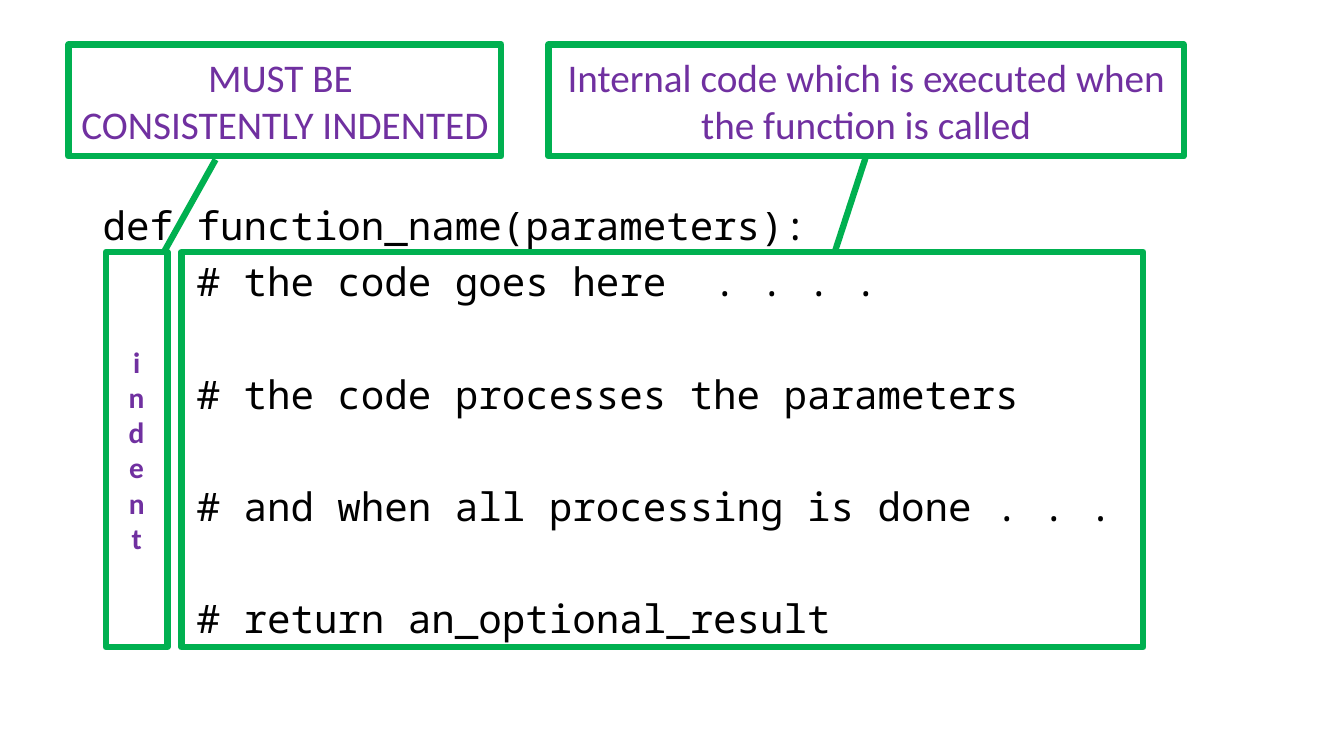
from pptx import Presentation
from pptx.dml.color import RGBColor
from pptx.enum.shapes import MSO_SHAPE
from pptx.enum.text import MSO_ANCHOR, PP_ALIGN
from pptx.util import Inches, Pt

GREEN = RGBColor(0x00, 0xB0, 0x50)
PURPLE = RGBColor(0x70, 0x30, 0xA0)
BLACK = RGBColor(0x00, 0x00, 0x00)

presentation = Presentation()
presentation.slide_width = Inches(13.33)
presentation.slide_height = Inches(7.5)
slide = presentation.slides.add_slide(presentation.slide_layouts[6])


def add_line(paragraph, text, font_name, size, color, bold=False):
    run = paragraph.add_run()
    run.text = text
    run.font.name = font_name
    run.font.size = Pt(size)
    run.font.color.rgb = color
    run.font.bold = bold


def add_callout(left, top, width, height, pointer, lines=(), size=28, bold=False):
    callout = slide.shapes.add_shape(
        MSO_SHAPE.LINE_CALLOUT_1, Inches(left), Inches(top), Inches(width), Inches(height))
    callout.shadow.inherit = False
    callout.fill.background()
    callout.line.color.rgb = GREEN
    callout.line.width = Pt(4.5)
    for index, value in enumerate(pointer):
        callout.adjustments[index] = value
    frame = callout.text_frame
    frame.word_wrap = True
    frame.vertical_anchor = MSO_ANCHOR.MIDDLE
    for index, text in enumerate(lines):
        paragraph = frame.add_paragraph() if index else frame.paragraphs[0]
        paragraph.alignment = PP_ALIGN.CENTER
        add_line(paragraph, text, "Calibri", size, PURPLE, bold)
    return callout


code = slide.shapes.add_textbox(Inches(0.92), Inches(2), Inches(11.5), Inches(4.76)).text_frame
code.word_wrap = True
code_lines = [
    ("def function_name(parameters):", 0),
    ("    # the code goes here  . . . .", 10),
    ("    # the code processes the parameters", 50),
    ("    # and when all processing is done . . .", 50),
    ("    # return an_optional_result", 50),
]
for index, (text, gap) in enumerate(code_lines):
    paragraph = code.add_paragraph() if index else code.paragraphs[0]
    paragraph.line_spacing = 0.9
    paragraph.space_before = Pt(gap)
    add_line(paragraph, text, "Noto Sans Mono", 28, BLACK)

BODY_TOP, BODY_HEIGHT = 2.5, 3.92
NOTE_TOP, NOTE_HEIGHT = 0.44, 1.11

indent = add_callout(1.05, BODY_TOP, 0.61, BODY_HEIGHT, (0, 1.01, 0, 1), ["indent"], 21, True)
indent.text_frame._txBody.bodyPr.set("vert", "wordArtVert")
add_callout(1.8, BODY_TOP, 9.54, BODY_HEIGHT, (0, 0.8, 0, 0.9))
add_callout(5.44, NOTE_TOP, 6.3, NOTE_HEIGHT, (1, 0.5, 1.87, 0.45),
            ["Internal code which is executed when the function is called"])
add_callout(0.68, NOTE_TOP, 4.29, NOTE_HEIGHT, (1.03, 0.34, 1.86, 0.22),
            ["MUST BE ", "CONSISTENTLY INDENTED"])

presentation.save("out.pptx")
